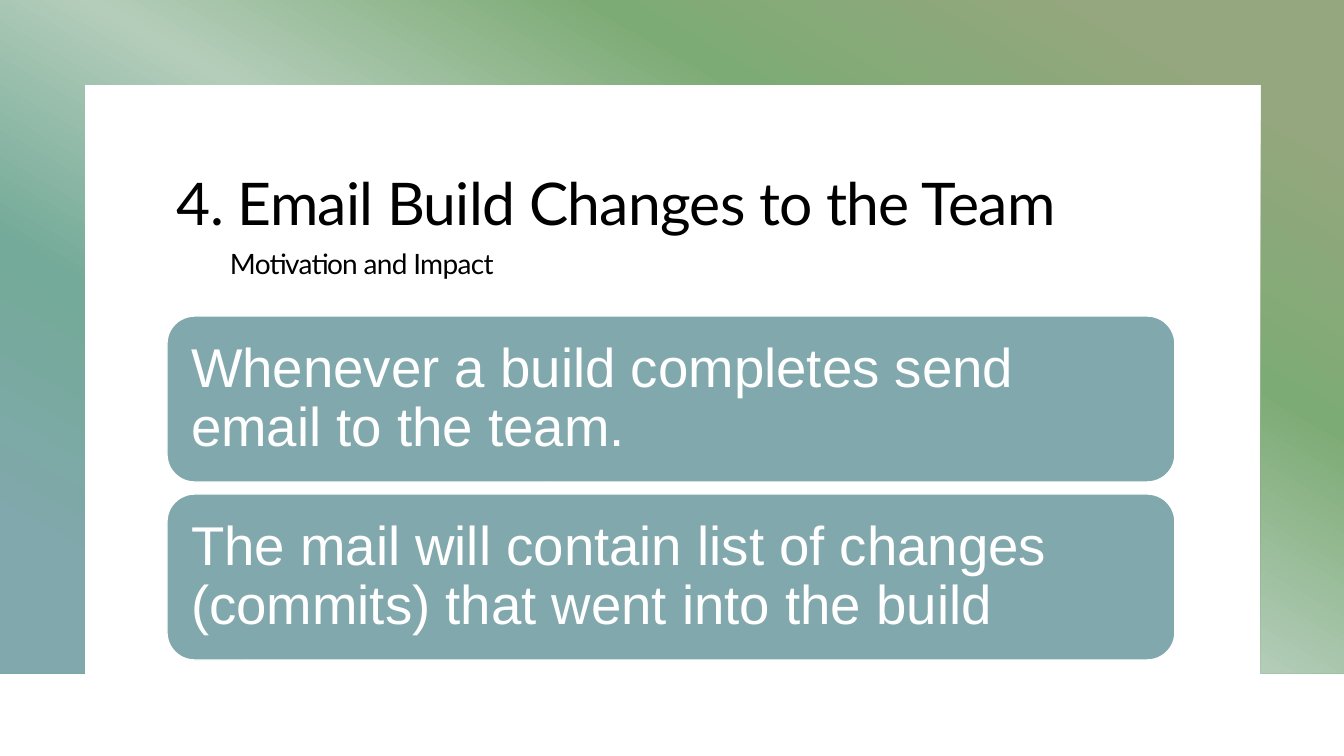
from lxml.etree import SubElement
from pptx import Presentation
from pptx.dml.color import RGBColor
from pptx.enum.shapes import MSO_SHAPE
from pptx.enum.text import MSO_ANCHOR, PP_ALIGN
from pptx.oxml.ns import qn
from pptx.util import Pt

SCALE = 914400 / 100.8  # EMU per px


def px(*lengths):
    return [round(length * SCALE) for length in lengths]


def write(frame, text, font, size, color, line_spacing):
    frame.word_wrap = True
    frame.text = text
    para = frame.paragraphs[0]
    para.alignment = PP_ALIGN.LEFT
    para.line_spacing = line_spacing
    span = para.runs[0]
    span.font.name = font
    span.font.size = Pt(size)
    span.font.color.rgb = RGBColor.from_string(color)
    return span


deck = Presentation()
deck.slide_width, deck.slide_height = px(1344, 756)
page = deck.slides.add_slide(deck.slide_layouts[6])

# Gradient frame around the white panel
outline = [(1344, 0), (1344, 673), (1261, 673), (1261, 85),
           (85, 85), (85, 673), (0, 673)]
builder = page.shapes.build_freeform(0, 0, scale=1.0)
builder.add_line_segments([px(*point) for point in outline], close=True)
frame_shape = builder.convert_to_shape()
frame_shape.shadow.inherit = False
frame_shape.line.fill.background()
frame_shape.fill.gradient()
frame_shape.fill.gradient_angle = 240  # counter-clockwise

# Replace the two default stops with five
stops = frame_shape.element.spPr.find(".//" + qn("a:gsLst"))
for stop in list(stops):
    stops.remove(stop)
colors = ["95A77E", "7DAB75", "B4CDBA", "74AA99", "81A8AC"]
for index, color in enumerate(colors):
    stop = SubElement(stops, qn("a:gs"), pos=str(10000 + 20000 * index))
    SubElement(stop, qn("a:srgbClr"), val=color)

# Title and subtitle
headings = [
    ("4. Email Build Changes to the Team", (167, 167, 1008, 148), 42, 0.95),
    ("Motivation and Impact", (220, 242, 938, 44), 20, 1.0),
]
for text, place, size, line_spacing in headings:
    box = page.shapes.add_textbox(*px(*place))
    span = write(box.text_frame, text, "Lato", size, "000000", line_spacing)
    span.font._element.set("spc", "-50")

# Rounded message cards
messages = [
    "Whenever a build completes send email to the team.",
    "The mail will contain list of changes (commits) that went into the build",
]
for index, text in enumerate(messages):
    card = page.shapes.add_shape(MSO_SHAPE.ROUNDED_RECTANGLE,
                                 *px(167, 316 + 178 * index, 1008, 166))
    card.shadow.inherit = False
    card.fill.solid()
    card.fill.fore_color.rgb = RGBColor.from_string("81A8AC")
    card.line.color.rgb = RGBColor.from_string("FFFFFF")
    card.line.width = Pt(1)
    frame = card.text_frame
    frame.vertical_anchor = MSO_ANCHOR.MIDDLE
    (frame.margin_left, frame.margin_top,
     frame.margin_right, frame.margin_bottom) = px(16, 16, 16, 16)
    write(frame, text, "Arial", 39, "FFFFFF", 0.9)

deck.save("out.pptx")
